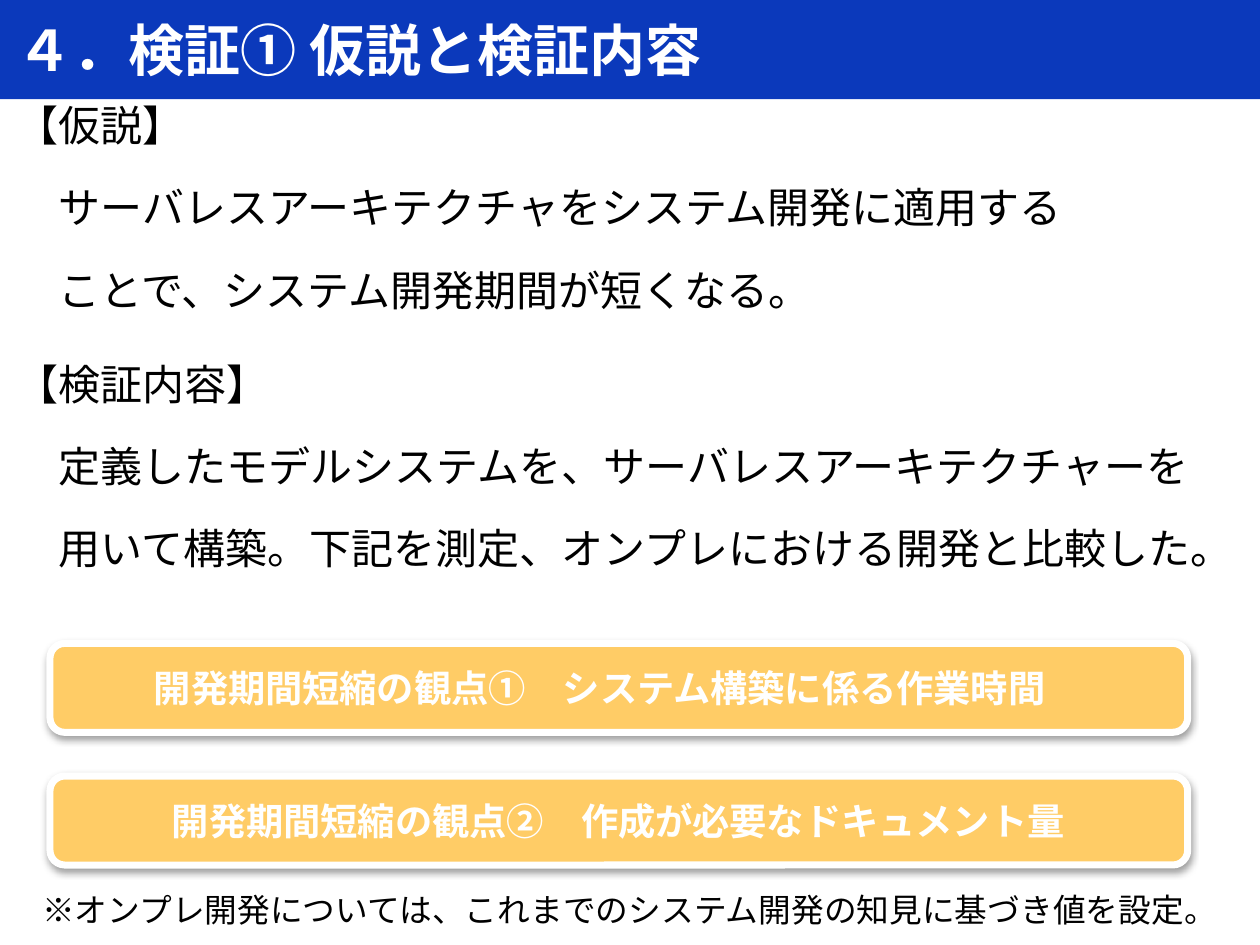
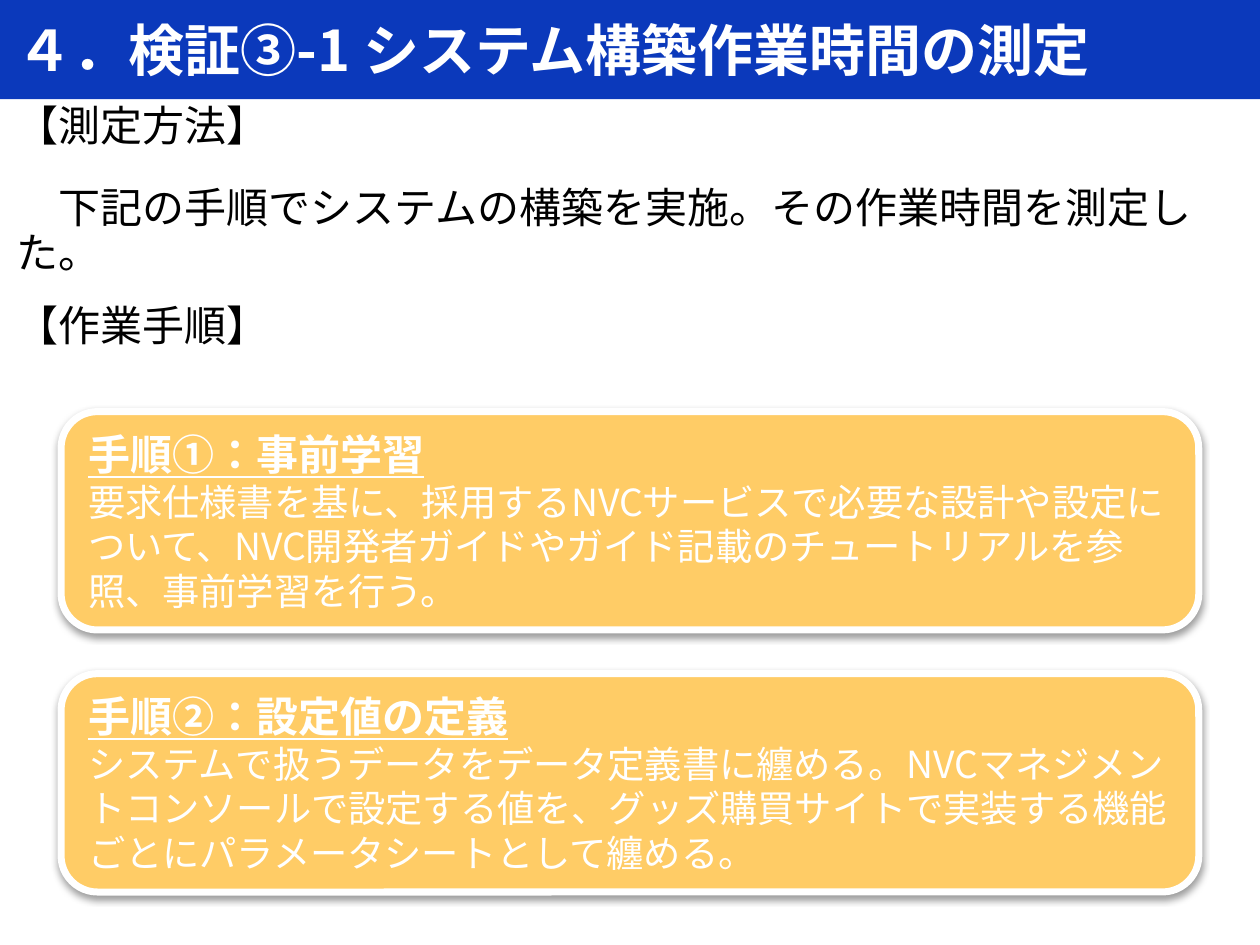
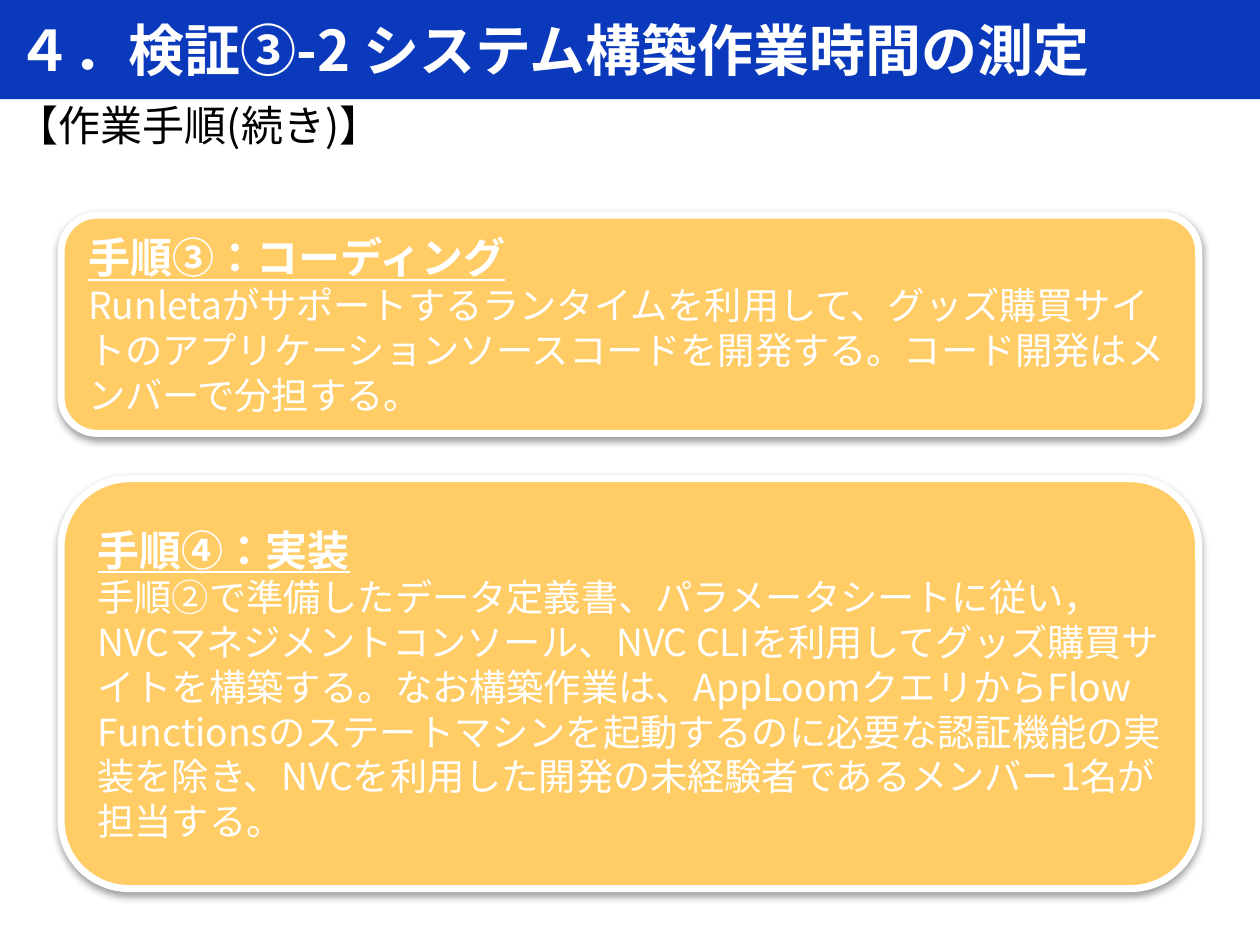
"""Builds three slides on the hypothesis and work-time measurement of a serverless trial."""
from lxml import etree
from pptx import Presentation
from pptx import util as u
from pptx.dml.color import RGBColor
from pptx.enum import lang, shapes, text
from pptx.oxml.ns import qn

FONT = "Noto Sans CJK JP"
BLUE = RGBColor(0x0B, 0x39, 0xBB)
AMBER = RGBColor(0xFF, 0xCC, 0x66)
WHITE = RGBColor(0xFF, 0xFF, 0xFF)
BLACK = RGBColor(0, 0, 0)
LEFT, CENTER = text.PP_ALIGN.LEFT, text.PP_ALIGN.CENTER

deck = Presentation()
deck.slide_width, deck.slide_height = u.Pt(540), u.Pt(405)
COL, ROW = deck.slide_width / 100, deck.slide_height / 100


def place(part, left, top, width, height):
    """Positions a part in hundredths of the slide's width and height."""
    part.left, part.width = int(left * COL), int(width * COL)
    part.top, part.height = int(top * ROW), int(height * ROW)


def write(part, lines, color, align=LEFT, spacing=None, before=0, margin=0.1):
    """Fills a part with (wording, size, bold, underlined) lines."""
    frame = part.text_frame
    frame.word_wrap = True
    frame.auto_size = text.MSO_AUTO_SIZE.NONE
    frame.margin_left = frame.margin_right = u.Inches(0.1)
    frame.margin_top = frame.margin_bottom = u.Inches(margin)
    frame.text = "\n".join(line[0] for line in lines)
    for paragraph, (_, size, bold, underlined) in zip(frame.paragraphs, lines):
        paragraph.alignment = align
        paragraph.line_spacing = spacing
        paragraph.space_before = u.Pt(before)
        font = paragraph.font
        font.name, font.size = FONT, u.Pt(size)
        font.bold, font.underline = bold, underlined
        font.color.rgb = color
        for run in paragraph.runs:
            run.font.language_id = lang.MSO_LANGUAGE_ID.JAPANESE
        properties = paragraph._p.get_or_add_pPr()
        for name in ("marL", "indent", "hangingPunct"):
            properties.set(name, "0")
        defaults = properties.find(qn("a:defRPr"))
        defaults.addprevious(etree.Element(qn("a:buNone")))
        etree.SubElement(defaults, qn("a:ea"), typeface=FONT)


layout = deck.slide_layouts[1]
band = layout.placeholders[0]
place(band, 0, 0, 100, 10.49)
band.fill.solid()
band.fill.fore_color.rgb = BLUE

VIEW_BOX = (3.97, 90.3, 9.42)
STEP_BOX = (4.85, 90.3, 23.11)
LAST_STEP_BOX = (4.85, 90.3, 43.38)

pages = [
    {
        "title": "４．検証① 仮説と検証内容",
        "body": (36.8, 30.4, [
            "【検証内容】",
            "　定義したモデルシステムを、サーバレスアーキテクチャーを",
            "　用いて構築。下記を測定、オンプレにおける開発と比較した。"]),
        "lead": [
            "【仮説】",
            "　サーバレスアーキテクチャをシステム開発に適用する",
            "　ことで、システム開発期間が短くなる。"],
        "cards": [
            (68.09, VIEW_BOX, "開発期間短縮の観点①　システム構築に係る作業時間　", None),
            (82.13, VIEW_BOX, "開発期間短縮の観点②　作成が必要なドキュメント量", None)],
        "note": "※オンプレ開発については、これまでのシステム開発の知見に基づき値を設定。",
    },
    {
        "title": "４．検証③-1 システム構築作業時間の測定",
        "body": (30.58, 30.4, ["【作業手順】"]),
        "lead": [
            "【測定方法】",
            "　下記の手順でシステムの構築を実施。その作業時間を測定した。"],
        "cards": [
            (43.56, STEP_BOX, "手順①：事前学習",
             "要求仕様書を基に、採用するNVCサービスで必要な設計や設定について、"
             "NVC開発者ガイドやガイド記載のチュートリアルを参照、事前学習を行う。"),
            (71.29, STEP_BOX, "手順②：設定値の定義",
             "システムで扱うデータをデータ定義書に纏める。"
             "NVCマネジメントコンソールで設定する値を、グッズ購買サイトで"
             "実装する機能ごとにパラメータシートとして纏める。")],
    },
    {
        "title": "４．検証③-2 システム構築作業時間の測定",
        "body": (9.42, 13.33, ["【作業手順(続き)】"]),
        "cards": [
            (22.76, STEP_BOX, "手順③：コーディング",
             "Runletaがサポートするランタイムを利用して、グッズ購買サイトの"
             "アプリケーションソースコードを開発する。コード開発はメンバーで分担する。"),
            (50.67, LAST_STEP_BOX, "手順④：実装",
             "手順②で準備したデータ定義書、パラメータシートに従い，"
             "NVCマネジメントコンソール、NVC CLIを利用してグッズ購買サイトを構築する。"
             "なお構築作業は、AppLoomクエリからFlow Functionsのステートマシンを"
             "起動するのに必要な認証機能の実装を除き、"
             "NVCを利用した開発の未経験者であるメンバー1名が担当する。")],
    },
]

for page in pages:
    slide = deck.slides.add_slide(layout)
    heading, body = slide.placeholders
    write(heading, [(page["title"], 24, True, False)], WHITE)
    heading.text_frame.vertical_anchor = text.MSO_ANCHOR.MIDDLE

    top, height, lines = page["body"]
    passages = [(body, top, height, lines)]
    if "lead" in page:
        lead = slide.shapes.add_textbox(0, 0, 0, 0)
        passages.append((lead, 9.42, 28.44, page["lead"]))
    for passage, top, height, lines in passages:
        place(passage, 0, top, 100, height)
        write(passage, [(line, 18, False, False) for line in lines],
              BLACK, spacing=0.89, before=16)

    for top, (left, width, height), label, detail in page["cards"]:
        card = slide.shapes.add_shape(shapes.MSO_SHAPE.ROUNDED_RECTANGLE, 0, 0, 0, 0)
        place(card, left, top, width, height)
        card.fill.solid()
        card.fill.fore_color.rgb = AMBER
        card.line.color.rgb = WHITE
        card.line.width = u.Pt(3)
        card.shadow.inherit = False
        effects = card._element.spPr.find(qn("a:effectLst"))
        shadow = etree.SubElement(effects, qn("a:outerShdw"), blurRad="40000",
                                  dist="20000", dir="5400000", rotWithShape="0")
        shade = etree.SubElement(shadow, qn("a:srgbClr"), val="000000")
        etree.SubElement(shade, qn("a:alpha"), val="38000")
        if detail:
            write(card, [(label, 18, True, True), (detail, 16, False, False)],
                  WHITE, margin=0.05)
        else:
            write(card, [(label, 16, True, False)], WHITE, CENTER, margin=0.05)

    if "note" in page:
        note = slide.shapes.add_textbox(0, 0, 0, 0)
        place(note, 0, 92.8, 100, 6.4)
        write(note, [(page["note"], 14, False, False)], BLACK, CENTER, 1.14, 16)
        note.text_frame.vertical_anchor = text.MSO_ANCHOR.MIDDLE

deck.save("out.pptx")
